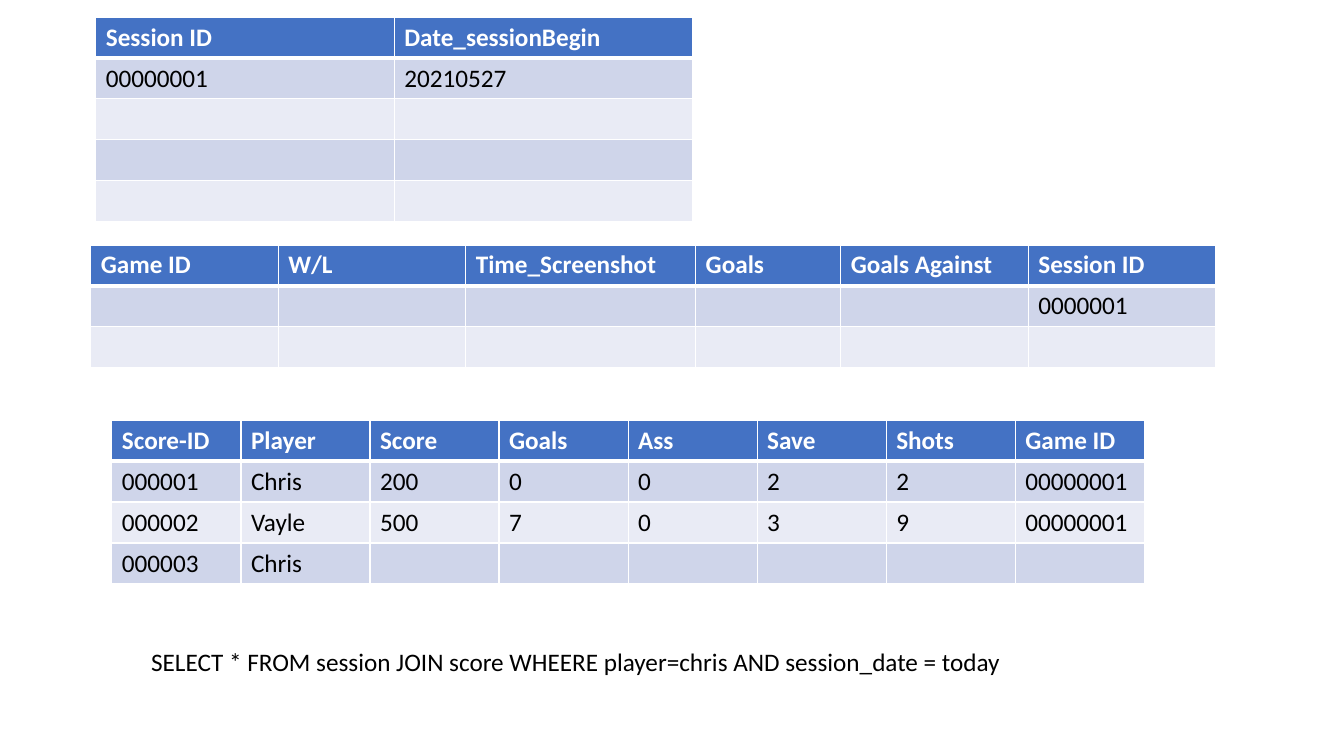
from dataclasses import dataclass

from lxml import etree
from pptx import Presentation
from pptx.dml.color import RGBColor
from pptx.enum.text import MSO_AUTO_SIZE
from pptx.oxml.ns import qn
from pptx.slide import Slide
from pptx.table import _Cell
from pptx.text.text import _Paragraph
from pptx.util import Inches, Pt

FIT_SHAPE = MSO_AUTO_SIZE.SHAPE_TO_FIT_TEXT
BLANK_LAYOUT = 6
ROW_HEIGHT = 0.405


@dataclass(frozen=True)
class Theme:
    font: str = "Calibri"
    size: int = 18
    text: str = "000000"
    header_text: str = "FFFFFF"
    header_fill: str = "4472C4"
    bands: tuple[str, str] = ("CFD5EA", "E9EBF5")
    border: str = "FFFFFF"
    thin: int = 1
    thick: int = 3


@dataclass(frozen=True)
class DataTable:
    left: float
    top: float
    column_widths: tuple[float, ...]
    header: tuple[str, ...]
    records: tuple[tuple[str, ...], ...]


THEME = Theme()

# Database tables
SESSION = DataTable(
    0.95, 0.17, (2.96,) * 2,
    ("Session ID", "Date_sessionBegin"),
    (("00000001", "20210527"),) + (("",) * 2,) * 3,
)
GAME = DataTable(
    0.9, 2.43, (1.86, 1.86, 2.28, 1.44, 1.86, 1.86),
    ("Game ID", "W/L", "Time_Screenshot", "Goals", "Goals Against", "Session ID"),
    (("",) * 5 + ("0000001",), ("",) * 6),
)
SCORE = DataTable(
    1.11, 4.17, (1.28,) * 8,
    ("Score-ID", "Player", "Score", "Goals", "Ass", "Save", "Shots", "Game ID"),
    (
        ("000001", "Chris", "200", "0", "0", "2", "2", "00000001"),
        ("000002", "Vayle", "500", "7", "0", "3", "9", "00000001"),
        ("000003", "Chris") + ("",) * 6,
    ),
)
QUERY = "SELECT * FROM session JOIN score WHEERE player=chris AND session_date = today"


def format_paragraph(paragraph: _Paragraph, color: str, bold: bool = False) -> None:
    font = paragraph.font
    font.name, font.size, font.bold = THEME.font, Pt(THEME.size), bold
    font.color.rgb = RGBColor.from_string(color)


def set_borders(cell: _Cell, top: int, bottom: int) -> None:
    properties = cell._tc.get_or_add_tcPr()
    widths = {"L": THEME.thin, "R": THEME.thin, "T": top, "B": bottom}
    for side, width in widths.items():
        line = etree.SubElement(properties, qn(f"a:ln{side}"), w=str(Pt(width)))
        fill = etree.SubElement(line, qn("a:solidFill"))
        etree.SubElement(fill, qn("a:srgbClr"), val=THEME.border)


def add_data_table(slide: Slide, data: DataTable) -> None:
    rows = (data.header, *data.records)
    table = slide.shapes.add_table(
        len(rows), len(data.header), Inches(data.left), Inches(data.top),
        Inches(sum(data.column_widths)), Inches(ROW_HEIGHT * len(rows)),
    ).table
    for column, width in zip(table.columns, data.column_widths):
        column.width = Inches(width)

    for row_index, values in enumerate(rows):
        is_header = row_index == 0
        fill = THEME.header_fill if is_header else THEME.bands[(row_index - 1) % 2]
        color = THEME.header_text if is_header else THEME.text
        top = THEME.thick if row_index == 1 else THEME.thin
        bottom = THEME.thick if is_header else THEME.thin
        for column_index, value in enumerate(values):
            cell = table.cell(row_index, column_index)
            set_borders(cell, top, bottom)
            cell.fill.solid()
            cell.fill.fore_color.rgb = RGBColor.from_string(fill)
            cell.text = value
            format_paragraph(cell.text_frame.paragraphs[0], color, is_header)


def add_query(slide: Slide, text: str) -> None:
    box = slide.shapes.add_textbox(Inches(1.4), Inches(6.36), Inches(9.05), Inches(0.4))
    frame = box.text_frame
    frame.word_wrap = True
    frame.auto_size = FIT_SHAPE
    frame.text = text
    format_paragraph(frame.paragraphs[0], THEME.text)


presentation = Presentation()
presentation.slide_width, presentation.slide_height = Inches(13.33), Inches(7.5)
slide = presentation.slides.add_slide(presentation.slide_layouts[BLANK_LAYOUT])

for data_table in (SESSION, GAME, SCORE):
    add_data_table(slide, data_table)
add_query(slide, QUERY)

presentation.save("out.pptx")
